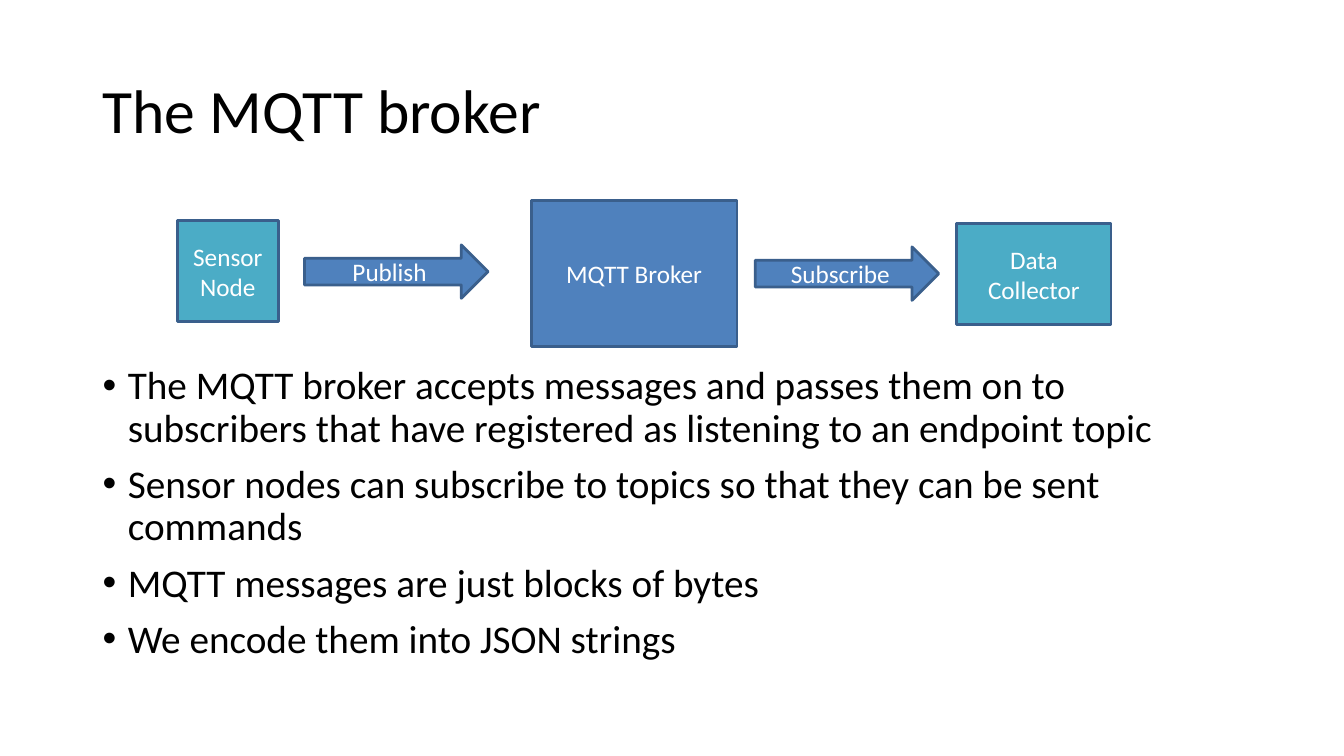
from lxml import etree
from pptx import Presentation
from pptx.dml.color import RGBColor
from pptx.enum.shapes import MSO_SHAPE
from pptx.enum.text import MSO_ANCHOR, PP_ALIGN
from pptx.oxml.ns import qn
from pptx.util import Pt

PX = 9144
RECT, ARROW = MSO_SHAPE.RECTANGLE, MSO_SHAPE.RIGHT_ARROW
TOP, MIDDLE = MSO_ANCHOR.TOP, MSO_ANCHOR.MIDDLE
CENTER = PP_ALIGN.CENTER

FONT = "Calibri"
BLACK, WHITE = "000000", "FFFFFF"
BLUE, TEAL, OUTLINE = "4F81BD", "4BACC6", "3A5F8C"
INDENT = 25

TITLE = "The MQTT broker"
BULLETS = [
    "The MQTT broker accepts messages and passes them on to subscribers "
    "that have registered as listening to an endpoint topic",
    "Sensor nodes can subscribe to topics so that they can be sent commands",
    "MQTT messages are just blocks of bytes",
    "We encode them into JSON strings",
]
FLOW = [
    (RECT, "Sensor Node", TEAL, (0, 20, 100, 100)),
    (ARROW, "Publish", BLUE, (126, 44, 182, 53)),
    (RECT, "MQTT Broker", BLUE, (351, 0, 204, 145)),
    (ARROW, "Subscribe", BLUE, (573, 46, 182, 53)),
    (RECT, "Data Collector", TEAL, (773, 23, 153, 100)),
]


def px(*lengths):
    return [length * PX for length in lengths]


def color(value):
    return RGBColor.from_string(value)


def format_runs(p, size, value):
    for r in p.runs:
        r.font.name = FONT
        r.font.size = Pt(size)
        r.font.color.rgb = color(value)


def add_text(slide, box, anchor):
    tf = slide.shapes.add_textbox(*px(*box)).text_frame
    tf.word_wrap = True
    tf.vertical_anchor = anchor
    return tf


def add_bullet(p):
    pPr = p._p.get_or_add_pPr()
    pPr.set("marL", str(INDENT * PX))
    pPr.set("indent", str(-INDENT * PX))
    etree.SubElement(pPr, qn("a:buFont")).set("typeface", "Arial")
    etree.SubElement(pPr, qn("a:buChar")).set("char", "•")


def add_title(slide, box):
    p = add_text(slide, box, MIDDLE).paragraphs[0]
    p.text = TITLE
    p.line_spacing = 0.9
    format_runs(p, 44, BLACK)


def add_body(slide, box):
    tf = add_text(slide, box, TOP)
    for i, text in enumerate(BULLETS):
        p = tf.add_paragraph() if i else tf.paragraphs[0]
        p.text = text
        add_bullet(p)
        p.line_spacing = 0.9
        if i:
            p.space_before = Pt(10)
        format_runs(p, 28, BLACK)


def add_flow(slide, box):
    left, top = box
    for kind, label, fill, (x, y, w, h) in FLOW:
        s = slide.shapes.add_shape(kind, *px(left + x, top + y, w, h))
        s.shadow.inherit = False
        s.fill.solid()
        s.fill.fore_color.rgb = color(fill)
        s.line.color.rgb = color(OUTLINE)
        s.line.width = Pt(2)
        tf = s.text_frame
        tf.text = label
        tf.word_wrap = True
        tf.vertical_anchor = MIDDLE
        p = tf.paragraphs[0]
        p.alignment = CENTER
        format_runs(p, 18, WHITE)


def main():
    prs = Presentation()
    prs.slide_width, prs.slide_height = px(1333, 750)
    slide = prs.slides.add_slide(prs.slide_layouts[6])
    add_title(slide, (92, 40, 1150, 145))
    add_body(slide, (92, 358, 1150, 317))
    add_flow(slide, (176, 199))
    prs.save("out.pptx")


if __name__ == "__main__":
    main()
